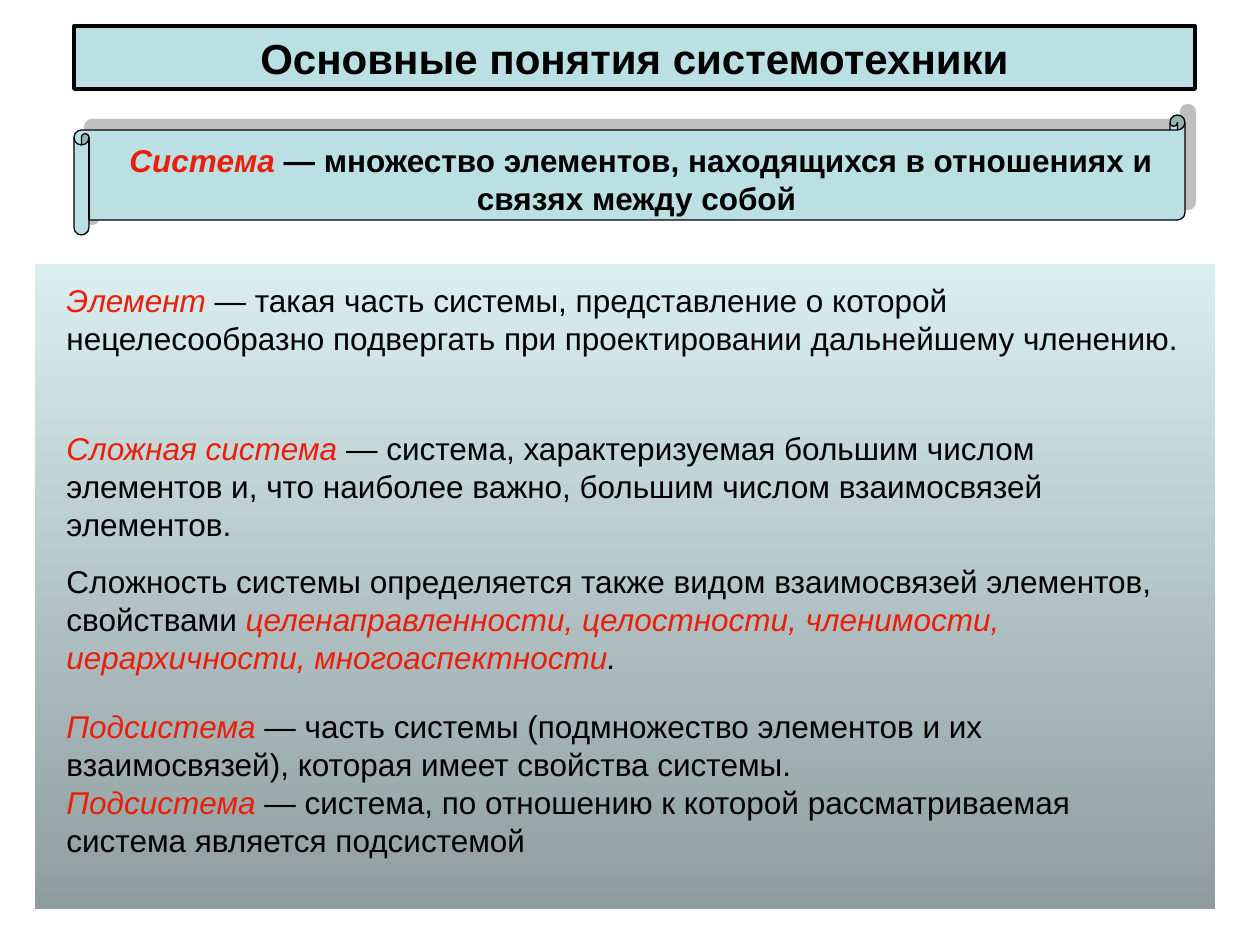
from dataclasses import dataclass
from lxml.etree import SubElement
from pptx import Presentation
from pptx.dml.color import RGBColor
from pptx.enum.shapes import MSO_SHAPE
from pptx.enum.text import MSO_ANCHOR, PP_ALIGN
from pptx.oxml.ns import qn
from pptx.util import Pt

SCALE = 914400 / 126


@dataclass(frozen=True)
class Theme:
    font: str = "Arial"
    head: int = 24
    body: int = 18
    gap: float = 11.2
    ink: str = "000000"
    term: str = "EA1F0A"
    fill: str = "BBE0E3"
    top: str = "DAEEF0"
    base: str = "8F9D9E"
    shade: str = "808080"


THEME = Theme()

# Each paragraph is a list of (text, is term) pairs.
SYSTEM = [[
    ("Система ", True),
    ("— множество элементов, находящихся в отношениях и связях между собой ", False),
]]
ELEMENT = [[
    ("Элемент ", True),
    ("— такая часть системы, представление о которой нецелесообразно "
     "подвергать при проектировании дальнейшему членению.", False),
]]
COMPLEX = [
    [
        ("Сложная система ", True),
        ("— система, характеризуемая большим числом элементов и, что наиболее "
         "важно, большим числом взаимосвязей элементов.", False),
    ],
    [
        ("Сложность системы определяется также видом взаимосвязей элементов, "
         "свойствами ", False),
        ("целенаправленности, целостности, членимости, иерархичности, "
         "многоаспектности", True),
        (".", False),
    ],
]
PARTS = [
    [
        ("Подсистема ", True),
        ("— часть системы (подмножество элементов и их взаимосвязей), "
         "которая имеет свойства системы.", False),
    ],
    [
        ("Подсистема ", True),
        ("— система, по отношению к которой рассматриваемая система "
         "является подсистемой", False),
    ],
]


def px(*nums):
    return [round(n * SCALE) for n in nums]


def rgb(code):
    return RGBColor.from_string(code)


def paint(shape, width):
    shape.fill.solid()
    shape.fill.fore_color.rgb = rgb(THEME.fill)
    shape.line.color.rgb = rgb(THEME.ink)
    shape.line.width = Pt(width)


def style(font, size, color, bold=False, slant=False):
    font.name = THEME.font
    font.size = Pt(size)
    font.color.rgb = rgb(color)
    font.bold = bold
    font.italic = slant


def set_frame(frame):
    frame.word_wrap = True
    frame.vertical_anchor = MSO_ANCHOR.TOP


def add_title(slide, text, *box):
    title = slide.shapes.title
    title.left, title.top, title.width, title.height = px(*box)
    paint(title, 2.25)
    frame = title.text_frame
    frame.text = text
    set_frame(frame)
    para = frame.paragraphs[0]
    para.alignment = PP_ALIGN.CENTER
    style(para.runs[0].font, THEME.head, THEME.ink, bold=True)


def cast_shadow(shape, dist, angle, alpha):
    shape.shadow.inherit = False
    effects = shape._element.spPr.find(qn("a:effectLst"))
    outer = SubElement(effects, qn("a:outerShdw"), dist=str(Pt(dist)),
                       dir=str(angle * 60000), algn="ctr", rotWithShape="0")
    color = SubElement(outer, qn("a:srgbClr"), val=THEME.shade)
    SubElement(color, qn("a:alpha"), val=str(alpha * 1000))


def add_scroll(slide, *box):
    scroll = slide.shapes.add_shape(MSO_SHAPE.HORIZONTAL_SCROLL, *px(*box))
    paint(scroll, 0.75)
    cast_shadow(scroll, 8.5, 315, 50)


def add_panel(slide, *box):
    panel = slide.shapes.add_shape(MSO_SHAPE.RECTANGLE, *px(*box))
    panel.shadow.inherit = False
    panel.line.fill.background()
    panel.fill.gradient()
    panel.fill.gradient_angle = 270
    for stop, code, place in zip(panel.fill.gradient_stops,
                                 (THEME.top, THEME.base), (0, 1)):
        stop.color.rgb = rgb(code)
        stop.position = place


def add_text(slide, paras, *box, gap=0, bold=False, align=PP_ALIGN.LEFT):
    frame = slide.shapes.add_textbox(*px(*box)).text_frame
    set_frame(frame)
    for i, parts in enumerate(paras):
        para = frame.add_paragraph() if i else frame.paragraphs[0]
        para.alignment = align
        para.space_before = Pt(gap if i else 0)
        slant = False
        for text, term in parts:
            # A closing full stop keeps the slant of the term before it.
            slant = term or (slant and text == ".")
            run = para.add_run()
            run.text = text
            style(run.font, THEME.body, THEME.term if term else THEME.ink,
                  bold, slant)


def main():
    deck = Presentation()
    deck.slide_width, deck.slide_height = px(1260, 945)
    slide = deck.slides.add_slide(deck.slide_layouts[5])
    add_title(slide, "Основные понятия системотехники", 74, 26, 1121, 63)
    add_scroll(slide, 74, 115, 1111, 120)
    add_text(slide, SYSTEM, 105, 135, 1072, 88, bold=True,
             align=PP_ALIGN.CENTER)
    add_panel(slide, 35, 264, 1180, 645)
    left, width = 54, 1142
    add_text(slide, ELEMENT, left, 275, width, 88)
    add_text(slide, COMPLEX, left, 423, width, 260, gap=THEME.gap)
    add_text(slide, PARTS, left, 701, width, 164)
    deck.save("out.pptx")


if __name__ == "__main__":
    main()
